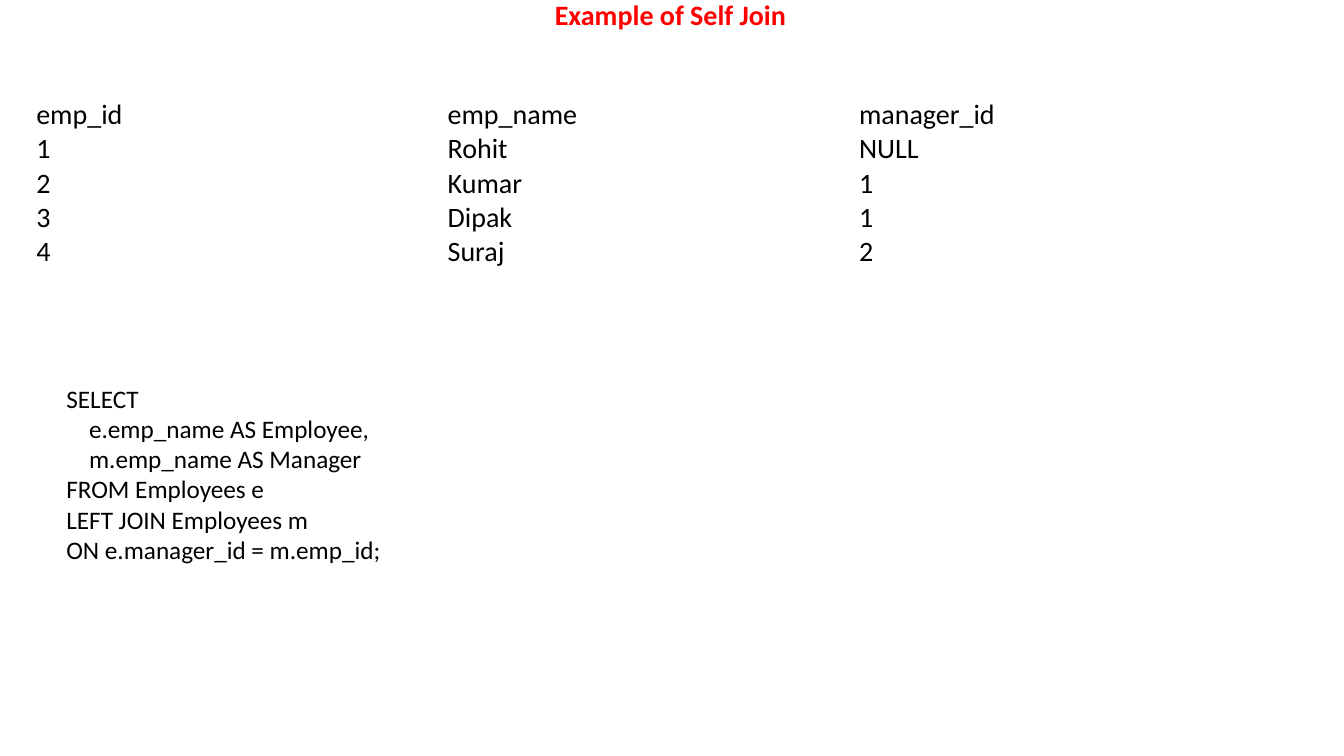
"""Build a slide showing a self join: the employee table and its query."""
from pptx import Presentation, util as u
from pptx.dml.color import RGBColor
from pptx.enum import text

COLORS = {"title": "FF0000", "body": "000000"}
EMPLOYEES = [
    ("emp_id", "emp_name", "manager_id"),
    ("1", "Rohit", "NULL"),
    ("2", "Kumar", "1"),
    ("3", "Dipak", "1"),
    ("4", "Suraj", "2"),
]
QUERY = """SELECT
    e.emp_name AS Employee,
    m.emp_name AS Manager
FROM Employees e
LEFT JOIN Employees m
ON e.manager_id = m.emp_id;"""
COLUMN_WIDTH, ROW_HEIGHT = u.Inches(4.08), u.Inches(0.34)


def add_run(paragraph, words, size, color="body", bold=False):
    run = paragraph.add_run()
    run.text = words
    run.font.name = "Calibri"
    run.font.size = u.Pt(size)
    run.font.bold = bold
    run.font.color.rgb = RGBColor.from_string(COLORS[color])


deck = Presentation()
deck.slide_width, deck.slide_height = u.Inches(13.33), u.Inches(7.5)
slide = deck.slides.add_slide(deck.slide_layouts[5])

title = slide.shapes.title
title.left, title.top = u.Inches(0.9), 0
title.width, title.height = u.Inches(11.5), u.Inches(0.33)
title.text_frame.vertical_anchor = text.MSO_ANCHOR.MIDDLE
heading = title.text_frame.paragraphs[0]
heading.alignment = text.PP_ALIGN.CENTER
heading.line_spacing = 0.9
add_run(heading, "Example of Self Join", 20, "title", True)

employees = slide.shapes.add_table(
    len(EMPLOYEES), len(EMPLOYEES[0]), u.Inches(0.36), u.Inches(0.97),
    COLUMN_WIDTH * len(EMPLOYEES[0]), ROW_HEIGHT * len(EMPLOYEES)).table
employees.first_row = employees.horz_banding = False
for row, record in enumerate(EMPLOYEES):
    employees.rows[row].height = ROW_HEIGHT
    for column, value in enumerate(record):
        cell = employees.cell(row, column)
        cell.fill.background()
        cell.vertical_anchor = text.MSO_ANCHOR.MIDDLE
        cell.margin_left = cell.margin_right = cell.margin_top = cell.margin_bottom = 0
        add_run(cell.text_frame.paragraphs[0], value, 20)

query = slide.shapes.add_textbox(
    u.Inches(0.56), u.Inches(3.75), u.Inches(6.67), u.Inches(2.22)).text_frame
query.word_wrap = True
query.auto_size = text.MSO_AUTO_SIZE.SHAPE_TO_FIT_TEXT
for number, code in enumerate(QUERY.splitlines()):
    line = query.add_paragraph() if number else query.paragraphs[0]
    add_run(line, code, 18)

deck.save("out.pptx")
